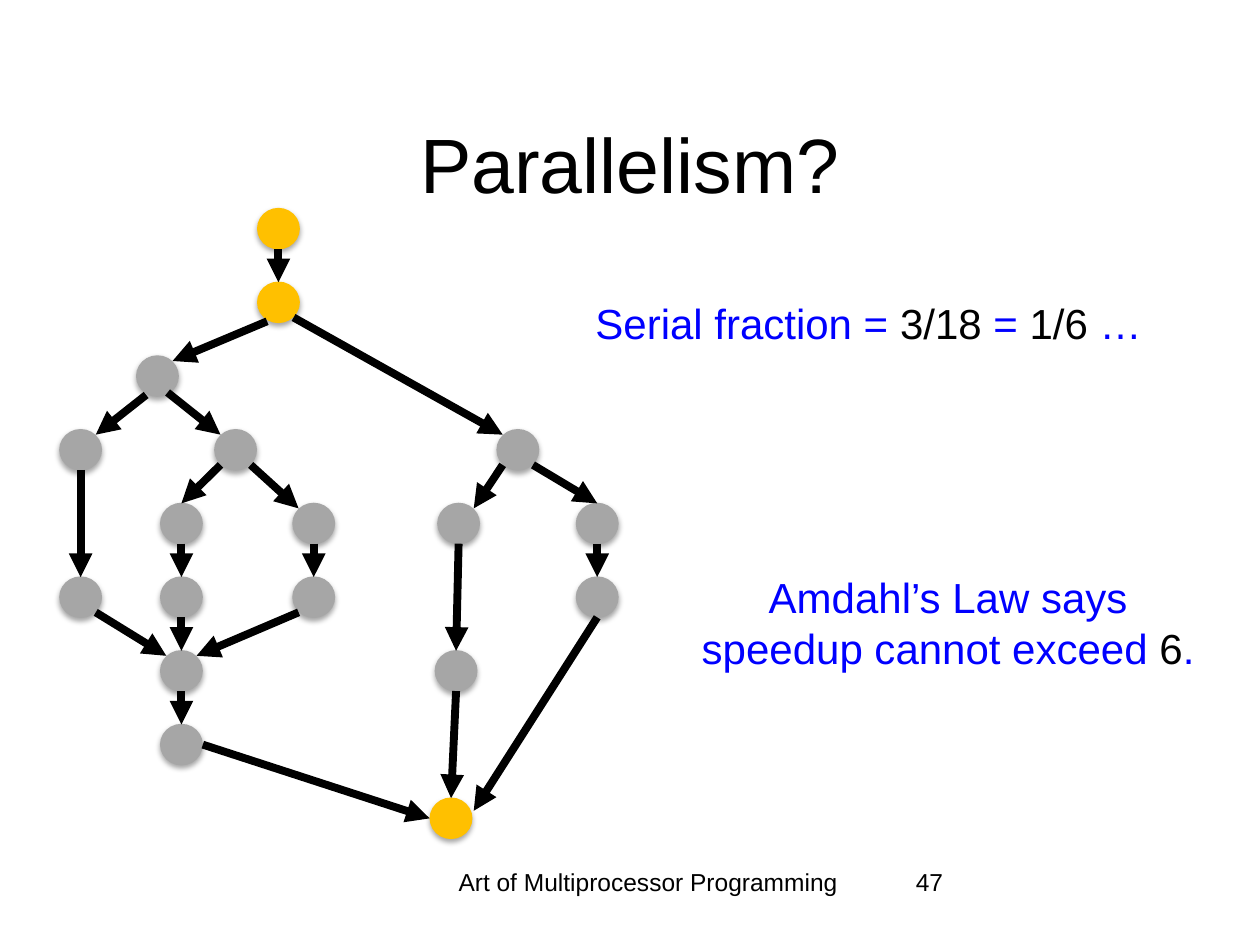
from lxml import etree
from pptx import Presentation
from pptx.dml.color import RGBColor
from pptx.enum.shapes import MSO_CONNECTOR, MSO_SHAPE
from pptx.enum.text import MSO_ANCHOR, PP_ALIGN
from pptx.oxml.ns import qn
from pptx.util import Inches, Pt

LEFT, CENTER, RIGHT = PP_ALIGN.LEFT, PP_ALIGN.CENTER, PP_ALIGN.RIGHT
TOP, MIDDLE = MSO_ANCHOR.TOP, MSO_ANCHOR.MIDDLE
OVAL, STRAIGHT = MSO_SHAPE.OVAL, MSO_CONNECTOR.STRAIGHT

THEME = {
    "font": "Arial",
    "ink": "000000", "accent": "0000FF", "serial": "FFC000", "parallel": "A6A6A6",
    "title": 44, "body": 24, "small": 14, "arrow": 4.5,
}

TITLE = "Parallelism?"
FOOTER = "Art of Multiprocessor Programming"
PAGE = "47"
FRACTION = [("Serial fraction = ", "accent"), ("3/18", "ink"), (" = ", "accent"),
            ("1/6", "ink"), (" …", "accent")]
AMDAHL = [("Amdahl’s Law says speedup cannot exceed ", "accent"), ("6", "ink"),
          (".", "accent")]

# name: (left, row, colour)
NODES = {
    "start": (2.04, 0, "serial"),
    "fork": (2.04, 1, "serial"),
    "left": (1.08, 2, "parallel"),
    "right": (3.94, 3, "parallel"),
    "left_b": (1.7, 3, "parallel"),
    "left_a": (0.47, 3, "parallel"),
    "b1": (1.27, 4, "parallel"),
    "b2": (2.32, 4, "parallel"),
    "r1": (3.47, 4, "parallel"),
    "r2": (4.57, 4, "parallel"),
    "a_end": (0.47, 5, "parallel"),
    "b1_end": (1.27, 5, "parallel"),
    "b2_end": (2.32, 5, "parallel"),
    "r2_end": (4.57, 5, "parallel"),
    "left_join": (1.27, 6, "parallel"),
    "r1_end": (3.45, 6, "parallel"),
    "left_end": (1.27, 7, "parallel"),
    "finish": (3.41, 8, "serial"),
}
NODE_W, NODE_H = 0.34, 0.33
FIRST_TOP, ROW_STEP = 1.65, 0.585

SITES = {
    "n": (0, -0.16), "s": (0, 0.16), "w": (-0.17, 0), "e": (0.17, 0),
    "nw": (-0.12, -0.12), "ne": (0.12, -0.12),
    "sw": (-0.12, 0.12), "se": (0.12, 0.12),
    "s_sw": (-0.09, 0.15), "s_se": (0.08, 0.13), "e_ne": (0.18, -0.06),
}
EDGES = [
    ("start", "s", "fork", "n"),
    ("fork", "s_sw", "left", "ne"),
    ("fork", "se", "right", "nw"),
    ("right", "se", "r2", "n"),
    ("right", "sw", "r1", "ne"),
    ("r2", "s", "r2_end", "n"),
    ("r1", "s", "r1_end", "n"),
    ("r1_end", "s", "finish", "n"),
    ("left_end", "e", "finish", "w"),
    ("r2_end", "s", "finish", "e_ne"),
    ("left_join", "s", "left_end", "n"),
    ("left", "s_sw", "left_a", "ne"),
    ("left", "s_se", "left_b", "nw"),
    ("left_b", "se", "b2", "nw"),
    ("left_b", "sw", "b1", "n"),
    ("left_a", "s", "a_end", "n"),
    ("b1", "s", "b1_end", "n"),
    ("b2", "s", "b2_end", "n"),
    ("b2_end", "sw", "left_join", "ne"),
    ("a_end", "se", "left_join", "nw"),
    ("b1_end", "s", "left_join", "n"),
]


def color(name):
    return RGBColor.from_string(THEME[name])


def write(s, text, box=None, size="body", align=LEFT, anchor=TOP, wrap=True):
    s.left, s.top, s.width, s.height = map(Inches, box)
    tf = s.text_frame
    tf.word_wrap = wrap
    tf.vertical_anchor = anchor
    p = tf.paragraphs[0]
    p.alignment = align
    for part, tone in [(text, "ink")] if isinstance(text, str) else text:
        r = p.add_run()
        r.text = part
        r.font.name = THEME["font"]
        r.font.size = Pt(THEME[size])
        r.font.color.rgb = color(tone)


def add_text(slide, text, **fmt):
    write(slide.shapes.add_textbox(0, 0, 0, 0), text, **fmt)


def add_shadow(s):
    effects = etree.SubElement(s._element.spPr, qn("a:effectLst"))
    shadow = etree.SubElement(effects, qn("a:outerShdw"), blurRad=str(Pt(3.1)),
                              dist=str(Pt(1.8)), dir="5400000", rotWithShape="0")
    tone = etree.SubElement(shadow, qn("a:srgbClr"), val=THEME["ink"])
    etree.SubElement(tone, qn("a:alpha"), val="35000")


def add_node(slide, left, row, tone):
    top = FIRST_TOP + row * ROW_STEP
    s = slide.shapes.add_shape(OVAL, *map(Inches, (left, top, NODE_W, NODE_H)))
    s.fill.solid()
    s.fill.fore_color.rgb = color(tone)
    s.line.fill.background()
    add_shadow(s)


def site(node, name):
    left, row, _ = NODES[node]
    dx, dy = SITES[name]
    return (Inches(left + NODE_W / 2 + dx),
            Inches(FIRST_TOP + row * ROW_STEP + NODE_H / 2 + dy))


def add_arrow(slide, source, source_site, target, target_site):
    c = slide.shapes.add_connector(STRAIGHT, *site(source, source_site),
                                   *site(target, target_site))
    c.line.color.rgb = color("ink")
    c.line.width = Pt(THEME["arrow"])
    etree.SubElement(c.line._get_or_add_ln(), qn("a:tailEnd"), type="triangle")
    etree.SubElement(c._element.spPr, qn("a:effectLst"))


def main():
    prs = Presentation()
    prs.slide_width, prs.slide_height = Inches(10), Inches(7.5)
    slide = prs.slides.add_slide(prs.slide_layouts[5])
    write(slide.shapes.title, TITLE, box=(0.75, 0.67, 8.5, 1.25), size="title",
          align=CENTER, anchor=MIDDLE)
    add_text(slide, FOOTER, box=(3.42, 6.83, 4.3, 0.5)[:2] + (3.45, 0.5),
             size="small", align=CENTER)
    add_text(slide, PAGE, box=(7.17, 6.83, 2.08, 0.5), size="small")
    for node in NODES.values():
        add_node(slide, *node)
    for edge in EDGES:
        add_arrow(slide, *edge)
    add_text(slide, FRACTION, box=(4.58, 2.31, 4.58, 0.5), align=RIGHT, wrap=False)
    add_text(slide, AMDAHL, box=(5.46, 4.49, 4.13, 0.91), align=CENTER)
    prs.save("out.pptx")


if __name__ == "__main__":
    main()
